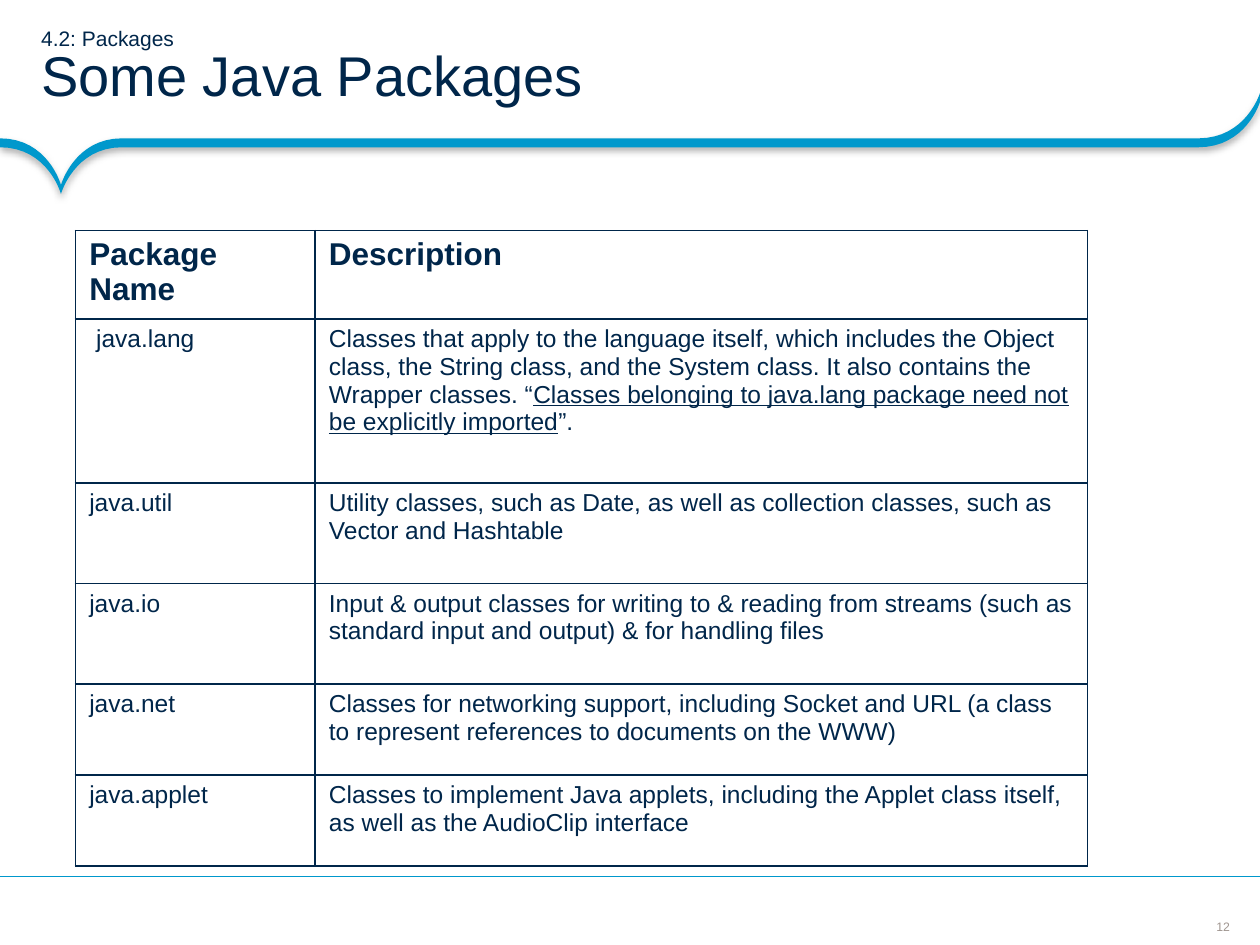
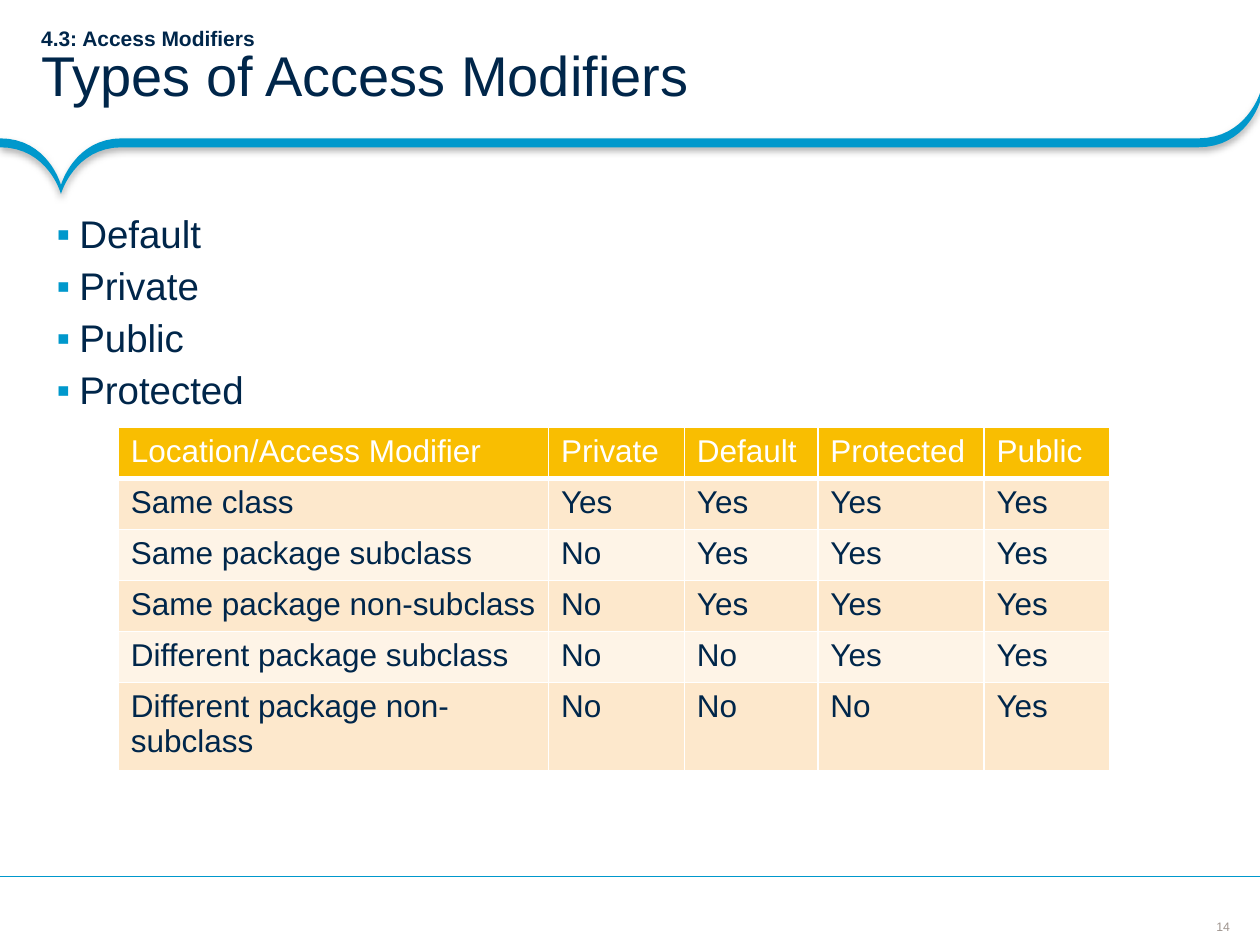
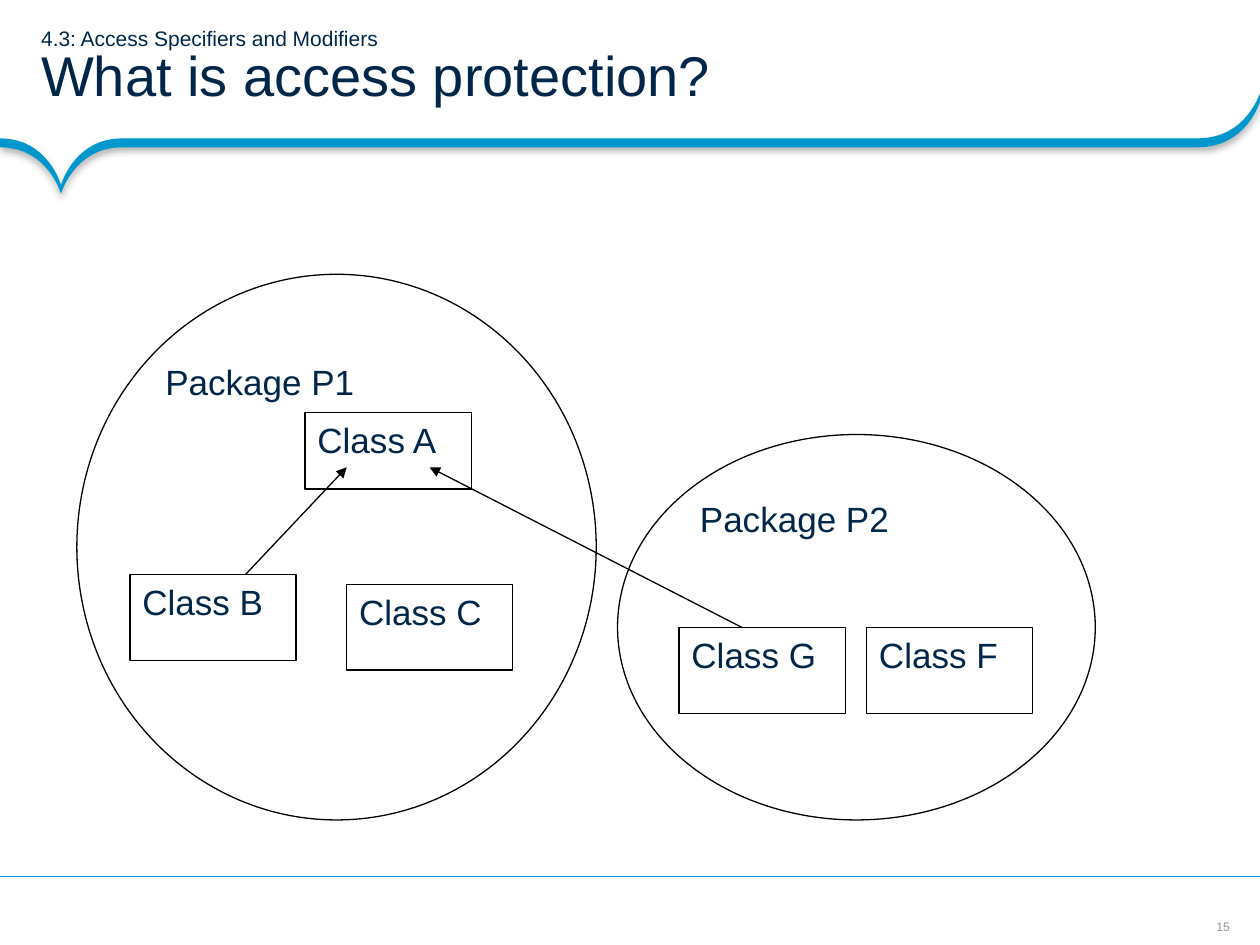
import dataclasses

import lxml.etree
import pptx
import pptx.dml.color
import pptx.enum.shapes
import pptx.enum.text
import pptx.oxml.ns
import pptx.util

Cm = pptx.util.Cm
Pt = pptx.util.Pt
RGB = pptx.dml.color.RGBColor
ALIGN = pptx.enum.text.PP_ALIGN
ANCHOR = pptx.enum.text.MSO_ANCHOR
SHAPE = pptx.enum.shapes.MSO_SHAPE
qn = pptx.oxml.ns.qn


@dataclasses.dataclass(frozen=True)
class Theme:
    font: str = "Arial"
    navy: RGB = RGB(0x00, 0x26, 0x4A)
    blue: RGB = RGB(0x00, 0x98, 0xCC)
    grey: RGB = RGB(0x9F, 0x95, 0x8F)
    white: RGB = RGB(0xFF, 0xFF, 0xFF)
    black: RGB = RGB(0x00, 0x00, 0x00)
    gold: RGB = RGB(0xF9, 0xBE, 0x01)
    peach: RGB = RGB(0xFD, 0xE8, 0xCC)
    cream: RGB = RGB(0xFE, 0xF4, 0xE7)
    title: float = 32
    section: float = 12
    body: float = 22
    diagram: float = 20
    table_head: float = 18
    table_text: float = 14
    number: float = 7
    line: float = 0.75


T = Theme()
WIDTH, HEIGHT = 25.4, 19.05

PACKAGES = [
    ("java.util", "Utility classes, such as Date, as well as collection classes, such as Vector and Hashtable"),
    ("java.io", "Input & output classes for writing to & reading from streams "
                "(such as standard input and output) & for handling files"),
    ("java.net", "Classes for networking support, including Socket and URL "
                 "(a class to represent references to documents on the WWW)"),
    ("java.applet", "Classes to implement Java applets, including the Applet class itself, "
                    "as well as the AudioClip interface"),
]
LANG_RUNS = [
    ("Classes that apply to the language itself, which includes the Object class, the String class, "
     "and the System class. It also contains the Wrapper classes. “", False),
    ("Classes belonging to java.lang package need not be explicitly imported", True),
    ("”.", False),
]
ACCESS = [
    ("Location/Access Modifier", "Private", "Default", "Protected", "Public"),
    ("Same class", "Yes", "Yes", "Yes", "Yes"),
    ("Same package subclass", "No", "Yes", "Yes", "Yes"),
    ("Same package non-subclass", "No", "Yes", "Yes", "Yes"),
    ("Different package subclass", "No", "No", "Yes", "Yes"),
    ("Different package non-subclass", "No", "No", "No", "Yes"),
]


def sub(parent, tag, **attrs):
    return lxml.etree.SubElement(parent, qn(tag), attrs)


def add_run(p, text, size, color=T.navy, bold=False, underline=False):
    r = p.add_run()
    r.text = text
    r.font.name = T.font
    r.font.size = Pt(size)
    r.font.color.rgb = color
    r.font.bold = bold
    r.font.underline = underline


def set_margins(obj, left, top, right, bottom):
    obj.margin_left, obj.margin_top = Cm(left), Cm(top)
    obj.margin_right, obj.margin_bottom = Cm(right), Cm(bottom)


def add_text_box(s, box, margins, anchor=ANCHOR.TOP, wrap=True):
    tf = s.shapes.add_textbox(*map(Cm, box)).text_frame
    tf.word_wrap = wrap
    tf.vertical_anchor = anchor
    set_margins(tf, *margins)
    return tf


def add_line(s, start, end, color, arrow=False):
    cx = s.shapes.add_connector(pptx.enum.shapes.MSO_CONNECTOR.STRAIGHT,
                                *map(Cm, start + end))
    cx.line.color.rgb = color
    cx.line.width = Pt(T.line)
    if arrow:
        sub(cx.line._get_or_add_ln(), "a:tailEnd", type="triangle")
    sub(cx._element.spPr, "a:effectLst")


def curve(a, b, c, d, steps=16):
    points = []
    for i in range(steps + 1):
        t = i / steps
        u = 1 - t
        points.append(tuple(u**3 * w + 3 * u * u * t * x + 3 * u * t * t * y + t**3 * z
                            for w, x, y, z in zip(a, b, c, d)))
    return points


def add_band(s):
    level, thickness = 2.79, 0.18
    cusp, corner = (1.23, 3.73), (WIDTH, 1.88)
    top = (curve((0, level), (0.97, level), cusp, cusp)
           + curve(cusp, cusp, (1.5, level), (2.46, level))
           + curve((24.16, level), (25.12, level), corner, corner))
    outline = top + [(x, y + thickness) for x, y in reversed(top)]
    points = [(Cm(x), Cm(y)) for x, y in outline]
    fb = s.shapes.build_freeform(*points[0], scale=1.0)
    fb.add_line_segments(points[1:], close=True)
    sp = fb.convert_to_shape()
    sp.fill.solid()
    sp.fill.fore_color.rgb = T.blue
    sp.line.fill.background()
    effects = sub(sp._element.spPr, "a:effectLst")
    shadow = sub(effects, "a:outerShdw", blurRad=str(Pt(4)), dist=str(Pt(2)),
                 dir="5400000", algn="t", rotWithShape="0")
    sub(sub(shadow, "a:srgbClr", val=str(T.black)), "a:alpha", val="31000")


def add_frame(prs, number, section, title, bold_section=False):
    s = prs.slides.add_slide(prs.slide_layouts[6])
    tf = add_text_box(s, (24.51, 18.52, 0.3, 0.3), (0, 0, 0, 0), ANCHOR.MIDDLE, wrap=False)
    p = tf.paragraphs[0]
    p.alignment = ALIGN.CENTER
    add_run(p, str(number), T.number, T.grey)
    add_band(s)
    add_line(s, (WIDTH, 17.67), (0, 17.67), T.blue)
    tf = add_text_box(s, (0, 0, WIDTH, 2.79), (0.83, 0.1, 0.46, 0.1), ANCHOR.MIDDLE)
    p = tf.paragraphs[0]
    p.line_spacing = 0.85
    add_run(p, section, T.section, bold=bold_section)
    p.add_line_break()
    add_run(p, title, T.title)
    return s


def add_bullets(s, box, items):
    tf = add_text_box(s, box, (0.3, 0.2, 0.2, 0.2))
    for i, item in enumerate(items):
        p = tf.add_paragraph() if i else tf.paragraphs[0]
        p.line_spacing = 0.9
        p.space_after = Pt(6)
        pPr = p._p.get_or_add_pPr()
        pPr.set("marL", str(Cm(0.46)))
        pPr.set("indent", str(Cm(-0.46)))
        sub(sub(pPr, "a:buClr"), "a:srgbClr", val=str(T.blue))
        sub(pPr, "a:buFont", typeface=T.font)
        sub(pPr, "a:buChar", char="▪")
        add_run(p, item, T.body)


def add_grid(s, left, top, cols, rows):
    frame = s.shapes.add_table(len(rows), len(cols), Cm(left), Cm(top),
                               Cm(sum(cols)), Cm(sum(rows)))
    table = frame.table
    for column, width in zip(table.columns, cols):
        column.width = Cm(width)
    for row, height in zip(table.rows, rows):
        row.height = Cm(height)
    return table


def style_cell(cell, fill, border, margin=0.25, bottom=1):
    set_margins(cell, margin, 0.13, margin, 0.13)
    tcPr = cell._tc.get_or_add_tcPr()
    for side, width in (("L", 1), ("R", 1), ("T", 1), ("B", bottom)):
        ln = sub(tcPr, f"a:ln{side}", w=str(Pt(width)))
        sub(sub(ln, "a:solidFill"), "a:srgbClr", val=str(border))
    cell.fill.solid()
    cell.fill.fore_color.rgb = fill


def add_package_table(s):
    rows = [("Package Name", [("Description", False)]), (" java.lang", LANG_RUNS)]
    rows += [(name, [(text, False)]) for name, text in PACKAGES]
    table = add_grid(s, 1.52, 4.65, (4.83, 15.57), (1.6, 3.3, 2.03, 2.03, 1.83, 1.83))
    for i, (name, description) in enumerate(rows):
        size = T.table_text if i else T.table_head
        for j, runs in enumerate(([(name, False)], description)):
            cell = table.cell(i, j)
            style_cell(cell, T.white, T.navy, margin=0.28)
            for text, underline in runs:
                add_run(cell.text_frame.paragraphs[0], text, size,
                        bold=i == 0, underline=underline)


def add_access_table(s):
    table = add_grid(s, 2.39, 8.61, (8.67, 2.74, 2.69, 3.35, 2.54), [1.03] * len(ACCESS))
    for i, row in enumerate(ACCESS):
        head = i == 0
        fill = T.gold if head else T.peach if i % 2 else T.cream
        for j, text in enumerate(row):
            cell = table.cell(i, j)
            style_cell(cell, fill, T.white, bottom=3 if head else 1)
            add_run(cell.text_frame.paragraphs[0], text, T.table_head,
                    T.white if head else T.navy)


def add_node(s, kind, text, box, align=ALIGN.LEFT):
    sp = s.shapes.add_shape(kind, *map(Cm, box))
    sp.shadow.inherit = False
    sp.fill.solid()
    sp.fill.fore_color.rgb = T.white
    sp.line.color.rgb = T.black
    sp.line.width = Pt(T.line)
    tf = sp.text_frame
    tf.word_wrap = True
    tf.vertical_anchor = ANCHOR.TOP
    p = tf.paragraphs[0]
    p.alignment = align
    add_run(p, text, T.diagram)


def add_protection_diagram(s):
    add_node(s, SHAPE.OVAL, "Package P2", (12.45, 8.76, 9.63, 7.77))
    add_node(s, SHAPE.OVAL, "Package P1", (1.55, 5.53, 10.47, 11))
    add_node(s, SHAPE.RECTANGLE, "Class A", (6.15, 8.31, 3.35, 1.55), ALIGN.JUSTIFY)
    for name, left, top in (("C", 6.99, 11.78), ("B", 2.62, 11.58),
                            ("F", 17.47, 12.65), ("G", 13.69, 12.65)):
        add_node(s, SHAPE.RECTANGLE, f"Class {name}", (left, top, 3.35, 1.73))
    add_line(s, (4.95, 11.58), (6.99, 9.42), T.black, arrow=True)
    add_line(s, (14.96, 12.65), (8.66, 9.42), T.black, arrow=True)


def main():
    prs = pptx.Presentation()
    prs.slide_width, prs.slide_height = Cm(WIDTH), Cm(HEIGHT)

    s = add_frame(prs, 12, "4.2: Packages ", "Some Java Packages")
    add_package_table(s)

    s = add_frame(prs, 14, "4.3: Access Modifiers", "Types of Access Modifiers", bold_section=True)
    add_bullets(s, (0.84, 4.14, 24.56, 12.9), ("Default", "Private", "Public", "Protected"))
    add_access_table(s)

    s = add_frame(prs, 15, "4.3: Access Specifiers and Modifiers", "What is access protection?")
    add_protection_diagram(s)

    prs.save("out.pptx")


if __name__ == "__main__":
    main()
